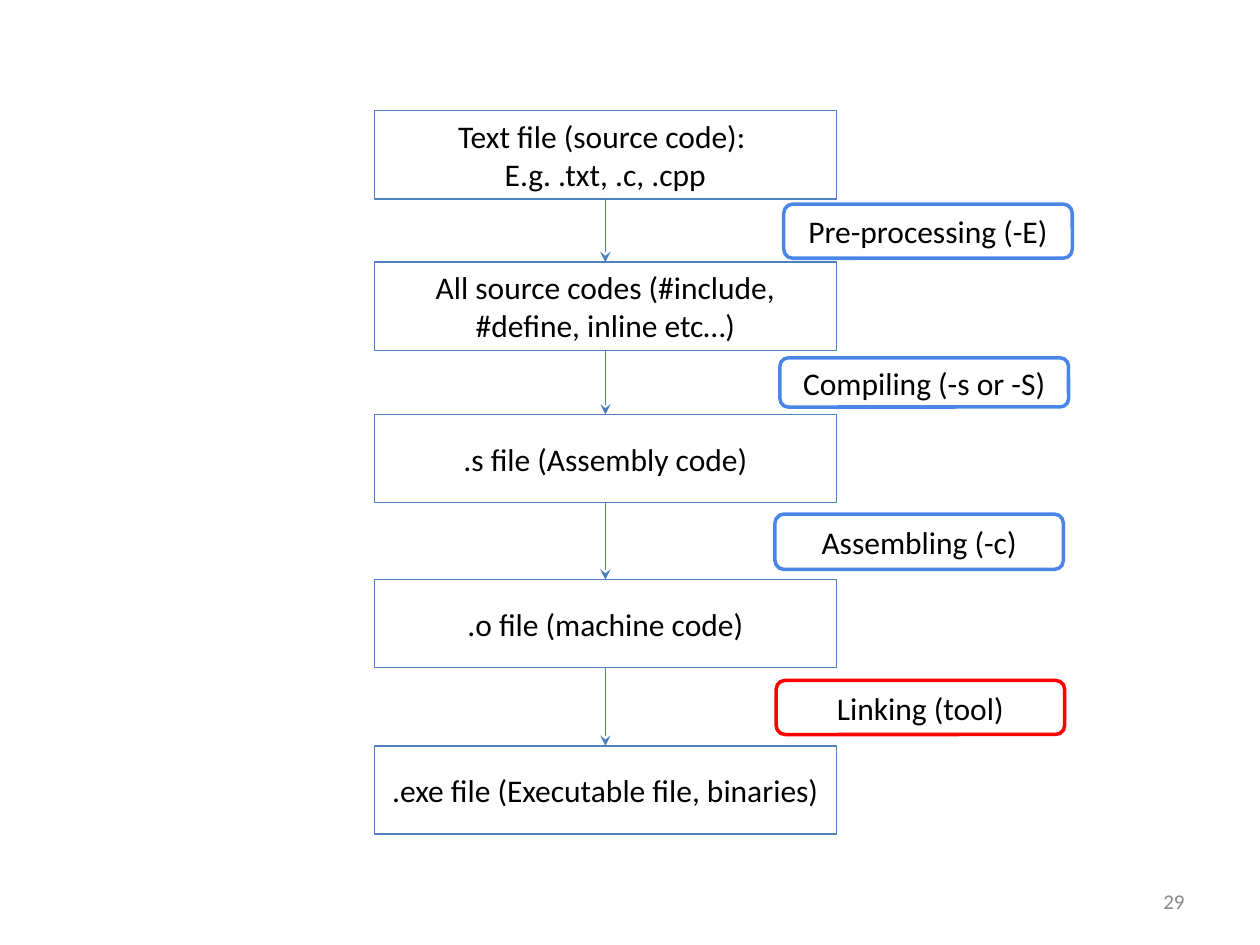
"""Build a slide that shows the steps from source code to executable."""
from dataclasses import dataclass
from itertools import pairwise

from lxml import etree
from pptx import Presentation
from pptx.dml.color import RGBColor
from pptx.enum.shapes import MSO_CONNECTOR, MSO_SHAPE
from pptx.enum.text import MSO_ANCHOR, PP_ALIGN
from pptx.oxml.ns import qn
from pptx.util import Inches, Pt

RECT = MSO_SHAPE.RECTANGLE
ROUND = MSO_SHAPE.ROUNDED_RECTANGLE
LINE = MSO_CONNECTOR.STRAIGHT
MIDDLE = MSO_ANCHOR.MIDDLE
CENTER = PP_ALIGN.CENTER
RIGHT = PP_ALIGN.RIGHT
BOTTOM_SITE, TOP_SITE = 2, 0

FONT = "Calibri"
WHITE, BLACK, GREY = "FFFFFF", "000000", "888888"
STEEL, ARROW, BLUE, RED = "4F81BD", "4A7DBA", "4A86E8", "FF0000"
FILE_LEFT, FILE_WIDTH, FILE_HEIGHT = 2.97, 3.67, 0.7
STEP_WIDTH = 2.29


@dataclass
class File:
    """A file stage in the main column."""
    top: float
    text: str


@dataclass
class Step:
    """A tool step between two files."""
    left: float
    top: float
    height: float
    text: str
    edge: str = BLUE


FILES = [
    File(0.88, "Text file (source code): \nE.g. .txt, .c, .cpp"),
    File(2.08, "All source codes (#include, #define, inline etc…)"),
    File(3.29, ".s file (Assembly code)"),
    File(4.6, ".o file (machine code)"),
    File(5.92, ".exe file (Executable file, binaries)"),
]
STEPS = [
    Step(6.22, 1.62, 0.43, "Pre-processing (-E)"),
    Step(6.19, 2.84, 0.39, "Compiling (-s or -S)"),
    Step(6.15, 4.08, 0.44, "Assembling (-c)"),
    Step(6.16, 5.4, 0.43, "Linking (tool)", RED),
]


def color(code: str) -> RGBColor:
    """Turn a hex string into a colour."""
    return RGBColor.from_string(code)


def write(shape, text: str, size: int, ink: str, align) -> None:
    """Fill a shape with text in one style."""
    frame = shape.text_frame
    frame.word_wrap = True
    frame.vertical_anchor = MIDDLE
    frame.text = text
    for para in frame.paragraphs:
        para.alignment = align
        para.font.name = FONT
        para.font.size = Pt(size)
        para.font.color.rgb = color(ink)


def add_box(slide, kind, left: float, top: float, width: float,
            height: float, text: str, edge: str, weight: float):
    """Add a white outlined box with centred text."""
    box = slide.shapes.add_shape(
        kind, Inches(left), Inches(top), Inches(width), Inches(height))
    box.shadow.inherit = False
    box.fill.solid()
    box.fill.fore_color.rgb = color(WHITE)
    box.line.color.rgb = color(edge)
    box.line.width = Pt(weight)
    write(box, text, 18, BLACK, CENTER)
    return box


def add_file(slide, file: File):
    """Add a file box to the main column."""
    return add_box(slide, RECT, FILE_LEFT, file.top, FILE_WIDTH,
                   FILE_HEIGHT, file.text, STEEL, 0.75)


def add_step(slide, step: Step) -> None:
    """Add a rounded step label."""
    add_box(slide, ROUND, step.left, step.top, STEP_WIDTH,
            step.height, step.text, step.edge, 2)


def add_arrow(slide, start, end) -> None:
    """Join two boxes with a downward arrow."""
    arrow = slide.shapes.add_connector(LINE, 0, 0, 0, 0)
    arrow.begin_connect(start, BOTTOM_SITE)
    arrow.end_connect(end, TOP_SITE)
    arrow.line.color.rgb = color(ARROW)
    arrow.line.width = Pt(0.75)
    props = arrow.element.spPr
    etree.SubElement(props.find(qn("a:ln")), qn("a:tailEnd"), type="stealth")
    etree.SubElement(props, qn("a:effectLst"))


def main() -> None:
    """Build and save the slide."""
    deck = Presentation()
    deck.slide_width, deck.slide_height = Inches(10), Inches(7.5)
    slide = deck.slides.add_slide(deck.slide_layouts[6])
    boxes = [add_file(slide, file) for file in FILES]
    for step in STEPS:
        add_step(slide, step)
    for start, end in pairwise(boxes):
        add_arrow(slide, start, end)
    number = slide.shapes.add_textbox(
        Inches(7.17), Inches(6.95), Inches(2.33), Inches(0.4))
    write(number, "29", 12, GREY, RIGHT)
    deck.save("out.pptx")


if __name__ == "__main__":
    main()
